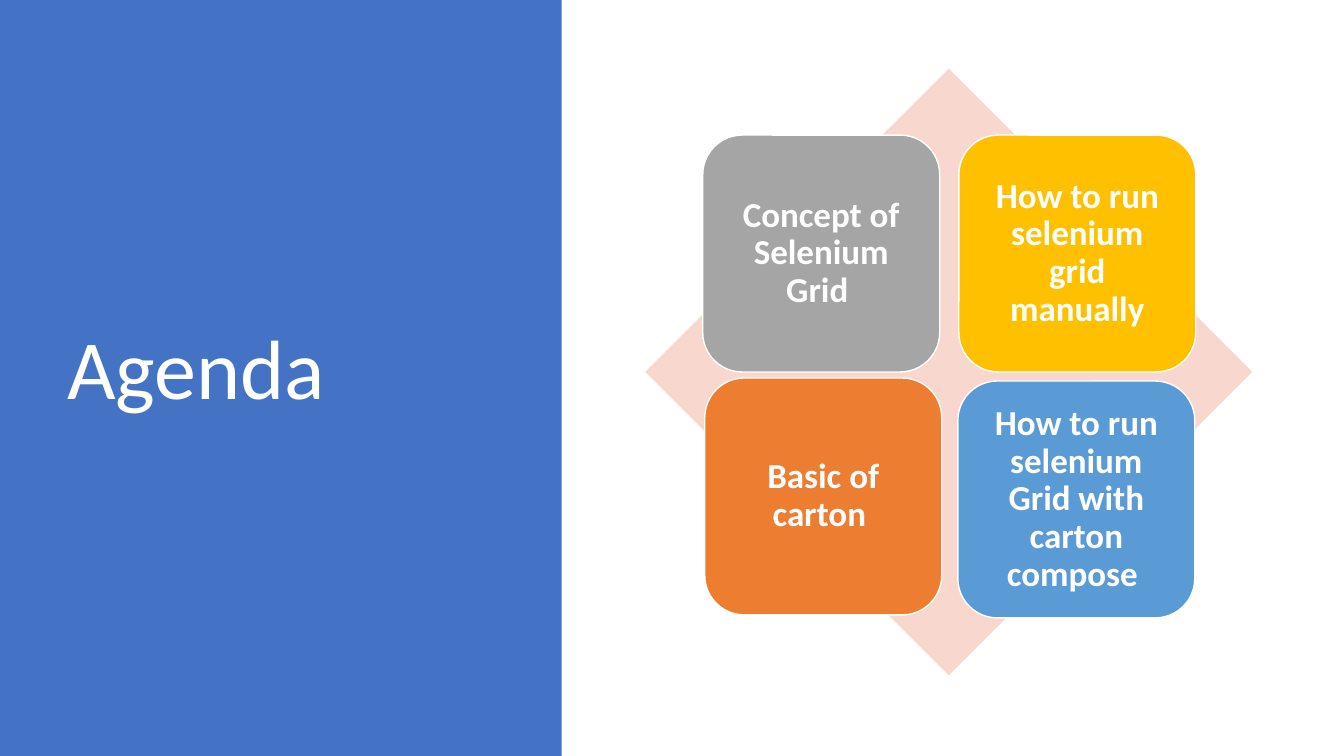
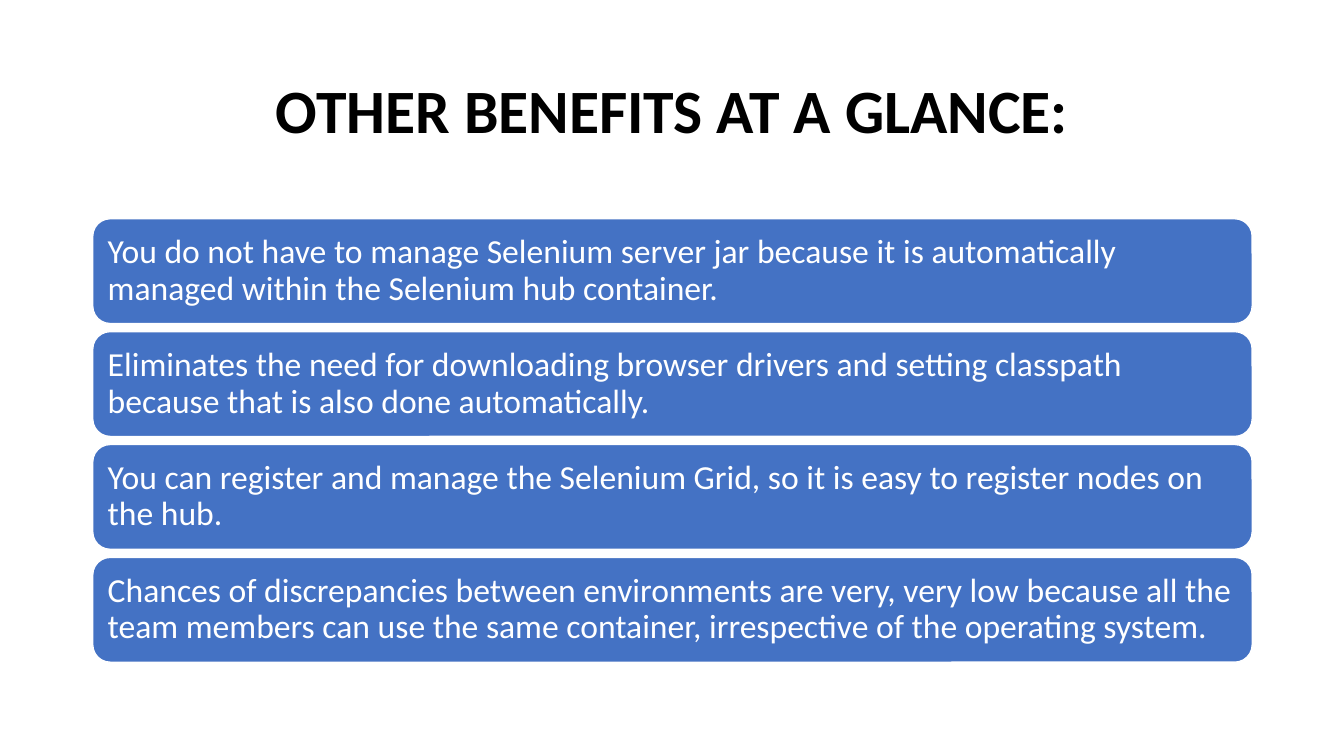
"""Build the agenda and benefits slides of a talk on Selenium Grid."""
import pptx
import pptx.dml.color
import pptx.enum.shapes
import pptx.enum.text
import pptx.util

Inches = pptx.util.Inches
Pt = pptx.util.Pt
SHAPE = pptx.enum.shapes.MSO_SHAPE
LEFT = pptx.enum.text.PP_ALIGN.LEFT
CENTER = pptx.enum.text.PP_ALIGN.CENTER

FONT = "Calibri"
WHITE, BLACK = "FFFFFF", "000000"
BLUE, PALE_PINK = "4472C4", "F8D7CE"
GRAY, GOLD, ORANGE, SKY = "A5A5A5", "FFC000", "ED7D31", "5B9BD5"


def add_panel(slide, kind, box, fill, outline=None):
    panel = slide.shapes.add_shape(kind, *map(Inches, box))
    panel.shadow.inherit = False
    panel.fill.solid()
    panel.fill.fore_color.rgb = pptx.dml.color.RGBColor.from_string(fill)
    if outline:
        panel.line.color.rgb = pptx.dml.color.RGBColor.from_string(outline)
        panel.line.width = Pt(1)
    else:
        panel.line.fill.background()
    return panel


def write(holder, text, size, color, align=LEFT, bold=False, side=0.1, top=0.1):
    frame = holder.text_frame
    frame.word_wrap = True
    frame.vertical_anchor = pptx.enum.text.MSO_ANCHOR.MIDDLE
    frame.margin_left = frame.margin_right = Inches(side)
    frame.margin_top = frame.margin_bottom = Inches(top)
    paragraph = frame.paragraphs[0]
    paragraph.text = text
    paragraph.alignment = align
    paragraph.line_spacing = 0.9
    paragraph.font.name = FONT
    paragraph.font.size = Pt(size)
    paragraph.font.bold = bold
    paragraph.font.color.rgb = pptx.dml.color.RGBColor.from_string(color)


deck = pptx.Presentation()
deck.slide_width, deck.slide_height = Inches(13.33), Inches(7.5)
blank = deck.slide_layouts[6]

agenda = deck.slides.add_slide(blank)
add_panel(agenda, SHAPE.RECTANGLE, (0, 0, 5.57, 7.5), BLUE)
agenda_title = agenda.shapes.add_textbox(*map(Inches, (0.57, 0.68, 4.16, 6.02)))
write(agenda_title, "Agenda", 60, WHITE, top=0.05)
add_panel(agenda, SHAPE.DIAMOND, (6.4, 0.68, 6.02, 6.02), PALE_PINK)

TILE = 2.35
topics = [
    (6.99, 3.75, ORANGE, "Basic of carton "),
    (6.97, 1.34, GRAY, "Concept of Selenium Grid "),
    (9.51, 1.34, GOLD, "How to run selenium grid manually"),
    (9.5, 3.78, SKY, "How to run selenium Grid with carton compose "),
]
for left, top, fill, topic in topics:
    tile = add_panel(agenda, SHAPE.ROUNDED_RECTANGLE, (left, top, TILE, TILE), fill, WHITE)
    write(tile, topic, 25, WHITE, CENTER, bold=True)

benefits = deck.slides.add_slide(blank)
benefits_title = benefits.shapes.add_textbox(*map(Inches, (0.92, 0.4, 11.5, 1.45)))
write(benefits_title, "OTHER BENEFITS AT A GLANCE:", 44, BLACK, CENTER, bold=True, top=0.05)

BAR_TOP, BAR_HEIGHT, BAR_STEP = 2.17, 1.04, 1.12
benefit_texts = [
    "You do not have to manage Selenium server jar because it is automatically "
    "managed within the Selenium hub container.",
    "Eliminates the need for downloading browser drivers and setting classpath "
    "because that is also done automatically.",
    "You can register and manage the Selenium Grid, so it is easy to register "
    "nodes on the hub.",
    "Chances of discrepancies between environments are very, very low because all "
    "the team members can use the same container, irrespective of the operating system.",
]
for row, benefit in enumerate(benefit_texts):
    bar_box = (0.92, BAR_TOP + row * BAR_STEP, 11.5, BAR_HEIGHT)
    bar = add_panel(benefits, SHAPE.ROUNDED_RECTANGLE, bar_box, BLUE, WHITE)
    write(bar, benefit, 24, WHITE)

deck.save("out.pptx")
